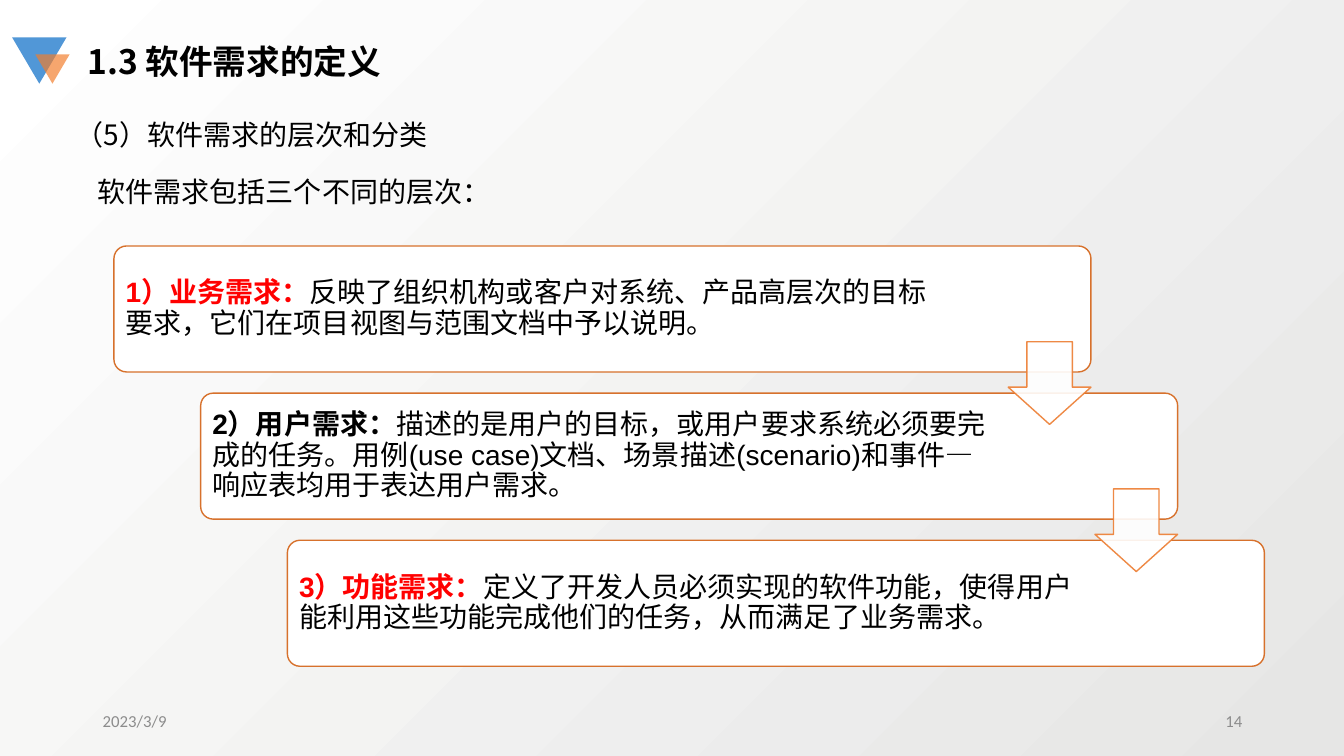
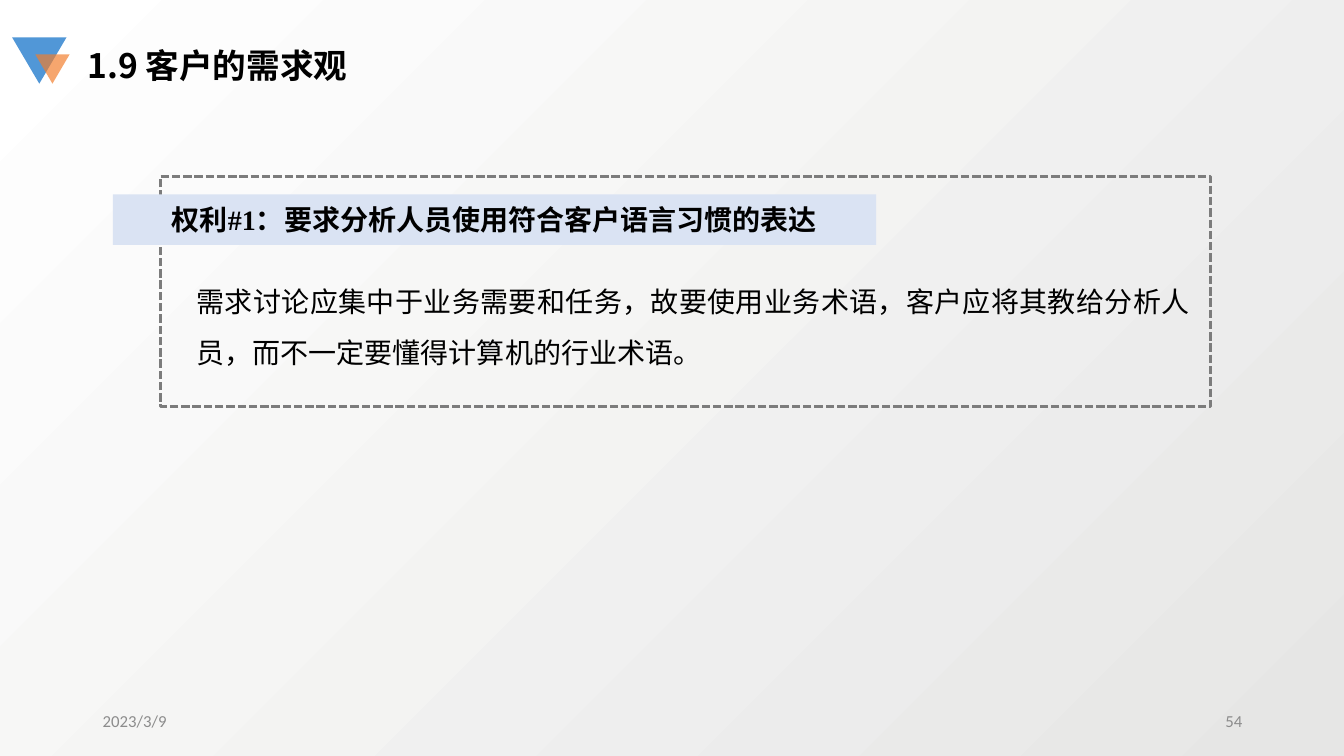
from lxml.etree import SubElement
from pptx import Presentation
from pptx.dml.color import RGBColor
from pptx.enum.dml import MSO_LINE
from pptx.enum.shapes import MSO_SHAPE as Shape
from pptx.enum.text import MSO_ANCHOR as Anchor, PP_ALIGN as Align
from pptx.oxml.ns import qn
from pptx.util import Inches, Pt

BLACK = RGBColor(0x00, 0x00, 0x00)
WHITE = RGBColor(0xFF, 0xFF, 0xFF)
RED = RGBColor(0xFF, 0x00, 0x00)
FOOTER_GREY = RGBColor(0x8C, 0x8C, 0x8C)
FRAME_GREY = RGBColor(0x7C, 0x7C, 0x7C)
BACKDROP_GREY = RGBColor(0xE6, 0xE6, 0xE5)
MARK_BLUE = RGBColor(0x51, 0x97, 0xD7)
MARK_ORANGE = RGBColor(0xF3, 0x7D, 0x2A)
BOX_ORANGE = RGBColor(0xD7, 0x71, 0x2C)
ARROW_ORANGE = RGBColor(0xED, 0x7D, 0x31)
PALE_BLUE = RGBColor(0xDA, 0xE3, 0xF3)
CJK_FONT = "Noto Sans CJK SC"


def add_figure(slide, kind, box, fill=None, line=None, width=1, opacity=100):
    """Add a preset shape; opacity (percent) applies to its fill and line."""
    figure = slide.shapes.add_shape(kind, *map(Inches, box))
    figure.shadow.inherit = False
    if fill is None:
        figure.fill.background()
    else:
        figure.fill.solid()
        figure.fill.fore_color.rgb = fill
    if line is None:
        figure.line.fill.background()
    else:
        figure.line.color.rgb = line
        figure.line.width = Pt(width)
    if opacity < 100:
        for color in figure._element.spPr.iter(qn("a:srgbClr")):
            SubElement(color, qn("a:alpha"), val=str(opacity * 1000))
    return figure


def write(holder, runs, size=20, font=CJK_FONT, anchor=Anchor.TOP, **paragraph_format):
    """Fill a shape with one paragraph of (text, colour, bold) runs."""
    frame = holder.text_frame
    frame.word_wrap = True
    frame.vertical_anchor = anchor
    paragraph = frame.paragraphs[0]
    for name, value in ({"alignment": Align.LEFT} | paragraph_format).items():
        setattr(paragraph, name, value)
    for text, color, bold in runs:
        run = paragraph.add_run()
        run.text = text
        for name, value in {"size": Pt(size), "name": font, "bold": bold}.items():
            setattr(run.font, name, value)
        run.font.color.rgb = color
        SubElement(run.font._element, qn("a:ea"), typeface=CJK_FONT)


prs = Presentation()
prs.slide_width, prs.slide_height = Inches(13.33), Inches(7.5)

# Shared background, corner mark, footer and title
slides = []
for title, number, title_spacing in [
    ("1.3 软件需求的定义", "14", 0.9),
    ("1.9 客户的需求观", "54", 1.0),
]:
    slide = prs.slides.add_slide(prs.slide_layouts[6])
    slides.append(slide)
    backdrop = slide.background.fill
    backdrop.gradient()
    backdrop.gradient_angle = 135
    for stop, color in zip(backdrop.gradient_stops, (BACKDROP_GREY, WHITE)):
        stop.color.rgb = color

    for box, color, opacity in [
        ((0.12, 0.37, 0.54, 0.46), MARK_BLUE, 100),
        ((0.35, 0.54, 0.34, 0.29), MARK_ORANGE, 68),
    ]:
        mark = add_figure(slide, Shape.ISOSCELES_TRIANGLE, box, color, opacity=opacity)
        mark.rotation = 180

    for left, text, align in [(0.92, "2023/3/9", Align.LEFT), (9.42, number, Align.RIGHT)]:
        footer = slide.shapes.add_textbox(*map(Inches, (left, 6.95, 3, 0.4)))
        write(footer, [(text, FOOTER_GREY, False)], 12, "Calibri", Anchor.MIDDLE, alignment=align)

    heading = slide.shapes.add_textbox(*map(Inches, (0.77, 0.4, 5.51, 0.5)))
    write(heading, [(title, BLACK, True)], 24, line_spacing=title_spacing)

levels_slide, rights_slide = slides

# Levels of software requirements
for box, text in [
    ((0.65, 1.12, 9.36, 0.44), "（5）软件需求的层次和分类"),
    ((0.87, 1.68, 4.2, 0.44), "软件需求包括三个不同的层次："),
]:
    intro = levels_slide.shapes.add_textbox(*map(Inches, box))
    write(intro, [(text, BLACK, False)])

LEVEL_LEFT, LEVEL_TOP = 1.13, 2.44
STEP_X, STEP_Y = 0.86, 1.46
levels = [
    ("1）业务需求：", RED, 1.36,
     "反映了组织机构或客户对系统、产品高层次的目标要求，它们在项目视图与范围文档中予以说明。"),
    ("2）用户需求：", BLACK, 1.75,
     "描述的是用户的目标，或用户要求系统必须要完成的任务。用例(use case)文档、"
     "场景描述(scenario)和事件—响应表均用于表达用户需求。"),
    ("3）功能需求：", RED, 1.75,
     "定义了开发人员必须实现的软件功能，使得用户能利用这些功能完成他们的任务，从而满足了业务需求。"),
]
for i, (name, color, right_margin, meaning) in enumerate(levels):
    box = (LEVEL_LEFT + i * STEP_X, LEVEL_TOP + i * STEP_Y, 9.69, 1.25)
    level = add_figure(levels_slide, Shape.ROUNDED_RECTANGLE, box, WHITE, BOX_ORANGE)
    level.adjustments[0] = 0.1
    margins = {"margin_left": 0.08, "margin_top": 0.08,
               "margin_right": right_margin, "margin_bottom": 0.08}
    for side, margin in margins.items():
        setattr(level.text_frame, side, Inches(margin))
    write(level, [(name, color, True), (meaning, BLACK, False)], font="Arial",
          anchor=Anchor.MIDDLE, line_spacing=0.9)

for i in range(len(levels) - 1):
    box = (10 + i * STEP_X, 3.39 + i * STEP_Y, 0.82, 0.82)
    arrow = add_figure(levels_slide, Shape.DOWN_ARROW, box, WHITE, ARROW_ORANGE, opacity=90)
    arrow.adjustments[0] = 0.55
    arrow.adjustments[1] = 0.45

# First customer right
border = add_figure(rights_slide, Shape.RECTANGLE, (1.59, 1.75, 10.42, 2.28),
                    line=FRAME_GREY, width=2)
border.line.dash_style = MSO_LINE.SQUARE_DOT

explanation = rights_slide.shapes.add_textbox(*map(Inches, (1.85, 2.61, 10.05, 1.03)))
write(explanation,
      [("需求讨论应集中于业务需要和任务，故要使用业务术语，客户应将其教给分析人员，"
        "而不一定要懂得计算机的行业术语。", BLACK, False)],
      alignment=Align.JUSTIFY, line_spacing=1.5)

right_name = add_figure(rights_slide, Shape.RECTANGLE, (1.12, 1.93, 7.57, 0.5), PALE_BLUE)
write(right_name, [("权利#1：要求分析人员使用符合客户语言习惯的表达", BLACK, True)],
      font="Times New Roman", anchor=Anchor.MIDDLE, alignment=Align.CENTER)

prs.save("out.pptx")
